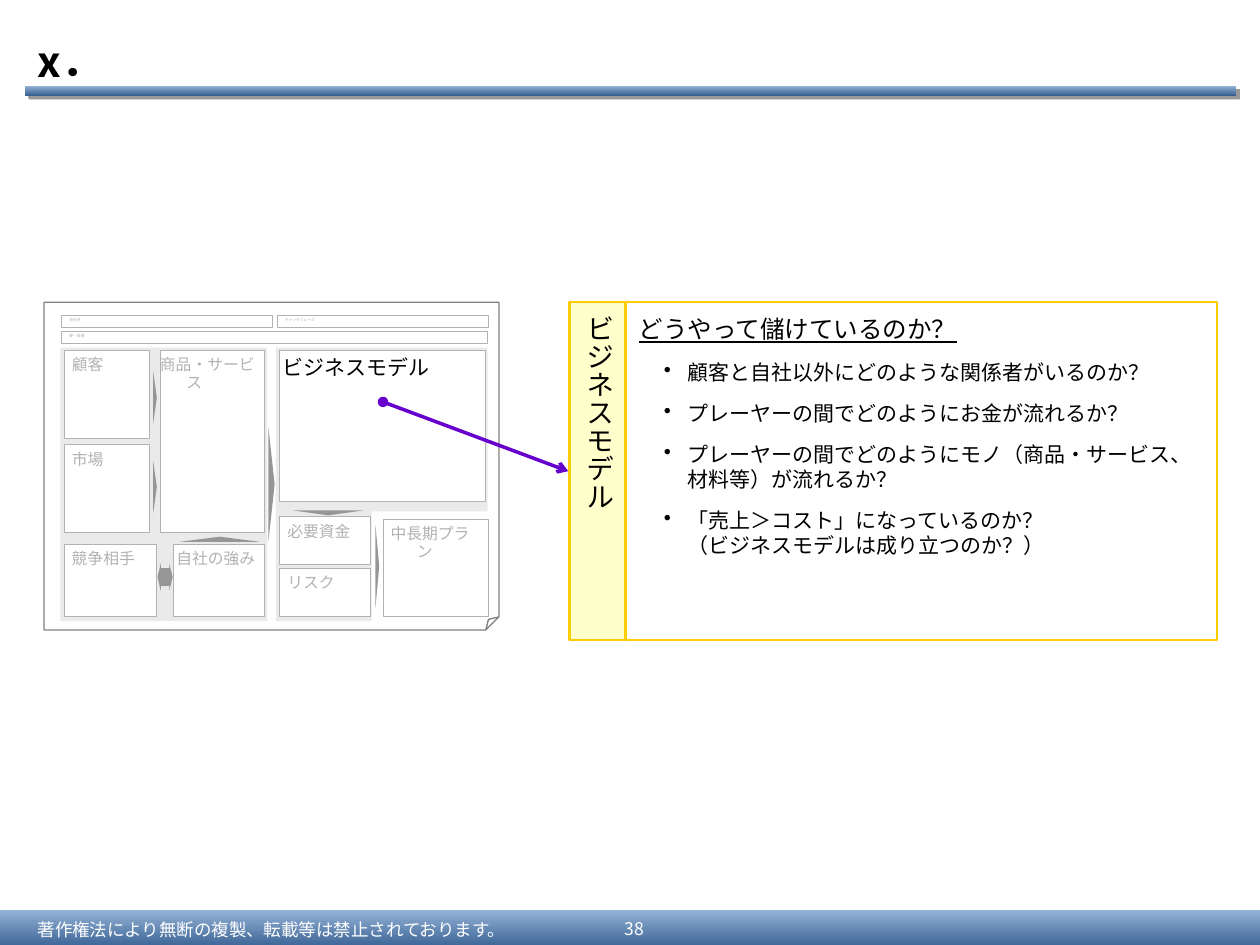
from lxml import etree
from pptx import Presentation
from pptx.dml.color import RGBColor
from pptx.enum.shapes import MSO_CONNECTOR, MSO_SHAPE
from pptx.enum.text import MSO_ANCHOR, PP_ALIGN
from pptx.oxml.ns import qn
from pptx.util import Inches, Pt

RECT, TRI = MSO_SHAPE.RECTANGLE, MSO_SHAPE.ISOSCELES_TRIANGLE
FOLD, BOTH = MSO_SHAPE.FOLDED_CORNER, MSO_SHAPE.LEFT_RIGHT_ARROW
LINE = MSO_CONNECTOR.STRAIGHT
LEFT, CENTER = PP_ALIGN.LEFT, PP_ALIGN.CENTER
TOP, MID = MSO_ANCHOR.TOP, MSO_ANCHOR.MIDDLE
SANS, BODY = "Noto Sans CJK JP", "Calibri"
HEX = {"dark": "376092", "light": "95B3D7", "black": "000000", "white": "FFFFFF",
       "cream": "FFFFCC", "gold": "FFCC00", "edge": "808080", "pale": "EAEAEA",
       "mute": "B2B2B2", "arrow": "969696", "violet": "6600CC"}

TITLE = "x．"
NOTICE = "著作権法により無断の複製、転載等は禁止されております。"
PAGE = "38"
TOPIC = "ビジネスモデル"
ASK = "どうやって儲けているのか？"
POINTS = [
    "顧客と自社以外にどのような関係者がいるのか？",
    "プレーヤーの間でどのようにお金が流れるか？",
    "プレーヤーの間でどのようにモノ（商品・サービス、材料等）が流れるか？",
    "「売上＞コスト」になっているのか？\v（ビジネスモデルは成り立つのか？）",
]
BANDS = [(2.19, 3.63, 0.76, 1.3), (2.19, 2.76, 1.68, 1.3), (0.48, 2.76, 1.64, 2.17)]
HEADS = [
    ("会社名", (0.49, 2.5, 1.67, 0.1)),
    ("キャッチフレーズ", (2.2, 2.5, 1.68, 0.1)),
    ("夢・目標", (0.49, 2.63, 3.38, 0.1)),
]
CELLS = [
    ("必要資金", (2.22, 4.1, 0.72, 0.38), 0.06),
    ("中長期プラン", (3.04, 4.12, 0.84, 0.77), 0.06),
    ("リスク", (2.22, 4.51, 0.72, 0.38), 0.06),
    ("商品・サービス", (1.27, 2.78, 0.83, 1.45), 0),
    ("市場", (0.51, 3.53, 0.68, 0.7), 0.06),
    ("競争相手", (0.51, 4.32, 0.73, 0.57), 0.06),
    ("自社の強み", (1.38, 4.32, 0.72, 0.57), 0.02),
    ("顧客", (0.51, 2.78, 0.68, 0.7), 0.06),
]
FLOWS = [
    ((1.02, 3.14, 0.42, 0.03), 90),
    ((1.02, 3.85, 0.42, 0.03), 90),
    ((1.43, 4.26, 0.63, 0.04), 0),
    ((1.7, 3.82, 0.91, 0.05), 90),
    ((2.32, 4.05, 0.57, 0.04), 180),
    ((2.67, 4.48, 0.65, 0.03), 90),
]

deck = Presentation()
deck.slide_width, deck.slide_height = Inches(10), Inches(7.5)
slide = deck.slides.add_slide(deck.slide_layouts[6])
shapes = slide.shapes


def tint(name):
    return RGBColor.from_string(HEX[name])


def draw(box, fill=None, line=None, width=0.5, kind=RECT):
    shape = shapes.add_shape(kind, *map(Inches, box))
    shape.shadow.inherit = False
    if fill:
        shape.fill.solid()
        shape.fill.fore_color.rgb = tint(fill)
    else:
        shape.fill.background()
    if line:
        shape.line.color.rgb = tint(line)
        shape.line.width = Pt(width)
    else:
        shape.line.fill.background()
    return shape


def adjust(shape, **sizes):
    geom = shape._element.spPr.find(qn("a:prstGeom"))
    for old in list(geom):
        geom.remove(old)
    guides = etree.SubElement(geom, qn("a:avLst"))
    for name, size in sizes.items():
        etree.SubElement(guides, qn("a:gd"), name=name, fmla=f"val {round(size * 100000)}")


def blend(box):
    shape = draw(box)
    shape.fill.gradient()
    shape.fill.gradient_angle = 90
    for stop, name, place in zip(shape.fill.gradient_stops, ("dark", "light"), (0, 1)):
        stop.color.rgb = tint(name)
        stop.position = place
    return shape


def style(para, size, color, font=SANS, bold=False):
    for run in para.runs:
        face = run.font
        face.size, face.name, face.bold = Pt(size), font, bold
        face.color.rgb = tint(color)
        etree.SubElement(run._r.rPr, qn("a:ea"), typeface=font)


def write(shape, text, size, color, font=SANS, pads=(0.1, 0.05, 0.1, 0.05),
          anchor=TOP, align=LEFT, bold=False):
    frame = shape.text_frame
    frame.word_wrap = True
    frame.vertical_anchor = anchor
    (frame.margin_left, frame.margin_top,
     frame.margin_right, frame.margin_bottom) = map(Inches, pads)
    frame.text = text
    para = frame.paragraphs[0]
    para.alignment = align
    style(para, size, color, font, bold)
    return para


def label(box, text, **look):
    return write(shapes.add_textbox(*map(Inches, box)), text, anchor=MID, **look)


def indent(para, left, first):
    props = para._p.get_or_add_pPr()
    props.set("marL", str(Inches(left)))
    props.set("indent", str(Inches(first)))
    return props


def cell(text, box, size, color, pads, space, anchor=TOP):
    para = write(draw(box, "white", "mute"), text, size, color, BODY, pads, anchor)
    indent(para, 0.21, -0.21)
    para.line_spacing = space


blend((0, 7.22, 10, 0.31))
rule = blend((0.2, 0.68, 9.61, 0.08))
cast = etree.SubElement(rule._element.spPr.find(qn("a:effectLst")), qn("a:outerShdw"),
                        blurRad="0", dist=str(Pt(3)), dir="2700000", algn="tl", rotWithShape="0")
shade = etree.SubElement(cast, qn("a:srgbClr"), val=HEX["black"])
etree.SubElement(shade, qn("a:alpha"), val="40000")
slim = (0.1, 0.04, 0.1, 0.04)
label((0.2, 7.25, 4.25, 0.25), NOTICE, size=10, color="white", pads=slim)
label((4.76, 7.23, 0.55, 0.28), PAGE, size=10, color="white", pads=slim, align=CENTER)
label((0.2, 0.21, 9.8, 0.54), TITLE, size=24, color="black", bold=True)

side = draw((4.52, 2.4, 0.44, 2.68), "cream", "gold", 1.25)
para = write(side, TOPIC, 16, "black", pads=(0.05, 0.1, 0.05, 0.1), anchor=MID, align=CENTER)
para.line_spacing = 0.9
side.text_frame._txBody.bodyPr.set("vert", "eaVert")

panel = draw((4.97, 2.4, 4.69, 2.68), "white", "gold", 1.25)
para = write(panel, ASK, 14, "black", pads=(0.1, 0.09, 0.1, 0.05))
para.space_after = Pt(1.8)
para.runs[0].font.underline = True
for point in POINTS:
    para = panel.text_frame.add_paragraph()
    para.text = point
    para.level = 1
    para.alignment = LEFT
    para.space_before, para.space_after = Pt(7.5), Pt(1.5)
    props = indent(para, 0.39, -0.19)
    ink = etree.SubElement(props, qn("a:buClr"))
    etree.SubElement(ink, qn("a:srgbClr"), val=HEX["black"])
    etree.SubElement(props, qn("a:buChar"), char="•")
    style(para, 12, "black")

sheet = draw((0.35, 2.4, 3.61, 2.6), None, "edge", 0.75, FOLD)
adjust(sheet, adj=0.04)
for band in BANDS:
    draw(band, "pale")
for text, box in HEADS:
    cell(text, box, 2.2, "mute", (0.06, 0.03, 0.06, 0.05), 0.75, MID)
cell(TOPIC, (2.22, 2.78, 1.63, 1.2), 12, "black", (0.02, 0.05, 0.02, 0.05), 0.95)
swap = draw((1.25, 4.47, 0.12, 0.22), "arrow", kind=BOTH)
adjust(swap, adj1=0.64, adj2=0.22)
for box, turn in FLOWS:
    draw(box, "arrow", kind=TRI).rotation = turn
for text, box, pad in CELLS:
    cell(text, box, 9, "mute", (pad, 0.05, pad, 0.05), 0.95)

link = shapes.add_connector(LINE, *map(Inches, (3.04, 3.19, 4.51, 3.74)))
link.line.color.rgb = tint("violet")
link.line.width = Pt(2)
stroke = link._element.spPr.find(qn("a:ln"))
etree.SubElement(stroke, qn("a:headEnd"), type="oval")
etree.SubElement(stroke, qn("a:tailEnd"), type="arrow")
etree.SubElement(link._element.spPr, qn("a:effectLst"))

deck.save("out.pptx")
